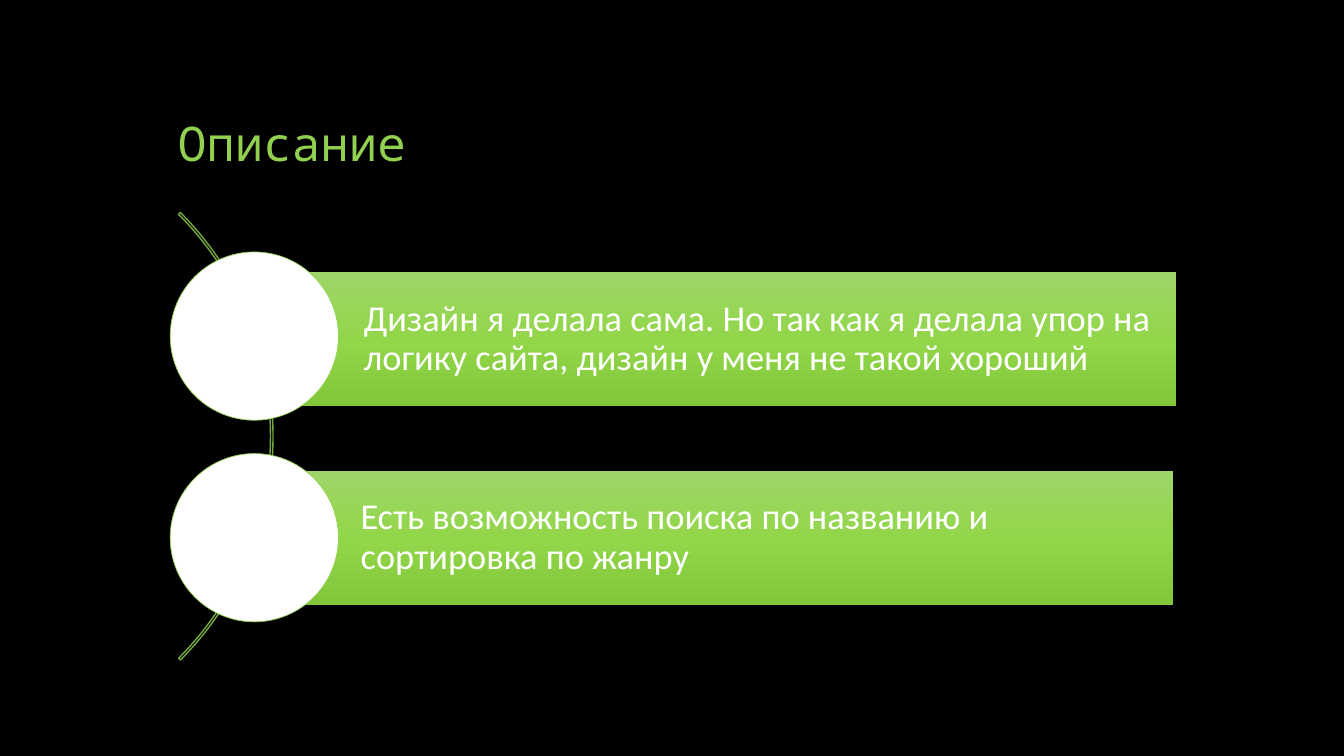
from copy import deepcopy

from pptx import Presentation
from pptx.dml.color import RGBColor
from pptx.enum.shapes import MSO_SHAPE
from pptx.enum.text import MSO_ANCHOR, MSO_AUTO_SIZE, PP_ALIGN
from pptx.util import Cm, Pt

COLORS = {
    "black": "000000", "white": "FFFFFF", "green": "92D050", "arc": "75A740",
    "top": "9ED669", "mid": "92D64A", "low": "82C63A",
}


def rgb(name):
    return RGBColor.from_string(COLORS[name])


def write(shape, text, font, size, color):
    frame = shape.text_frame
    frame.word_wrap = True
    frame.auto_size = MSO_AUTO_SIZE.NONE
    para = frame.paragraphs[0]
    para.alignment = PP_ALIGN.LEFT
    para.line_spacing = 0.9
    run = para.add_run()
    run.text = text
    run.font.name = font
    run.font.size = Pt(size)
    run.font.color.rgb = rgb(color)
    return frame


# Slide
deck = Presentation()
deck.slide_width, deck.slide_height = Cm(33.87), Cm(19.05)
slide = deck.slides.add_slide(deck.slide_layouts[5])
slide.background.fill.solid()
slide.background.fill.fore_color.rgb = rgb("black")
shapes = slide.shapes

# Title
title = shapes.title
title.left, title.top = Cm(4.23), Cm(1.27)
title.width, title.height = Cm(25.4), Cm(3.18)
frame = write(title, "Описание", "Noto Sans Mono", 34, "green")
frame.vertical_anchor = MSO_ANCHOR.BOTTOM

# Thin arc behind the list
arc = shapes.add_shape(MSO_SHAPE.BLOCK_ARC, Cm(-9.07), Cm(3.02), Cm(15.95), Cm(15.95))
for i, value in enumerate((189, 27, 0.004)):
    arc.adjustments[i] = value
arc.shadow.inherit = False
arc.fill.background()
arc.line.color.rgb = rgb("arc")
arc.line.width = Pt(1)

# List items: bar left, bar top, circle top, text
items = [
    (6.48, 6.86, 6.35,
     "Дизайн я делала сама. Но так как я делала упор на логику сайта, "
     "дизайн у меня не такой хороший"),
    (6.4, 11.86, 11.43, "Есть возможность поиска по названию и сортировка по жанру"),
]
for left, top, dot_top, text in items:
    # Bar with a three-stop gradient
    bar = shapes.add_shape(MSO_SHAPE.RECTANGLE, Cm(left), Cm(top), Cm(23.16), Cm(3.38))
    bar.shadow.inherit = False
    bar.line.fill.background()
    bar.fill.gradient()
    bar.fill.gradient_angle = 270
    first = bar.fill._fill._gradFill.gsLst[0]
    first.addnext(deepcopy(first))
    stops = zip(bar.fill.gradient_stops, (0, 0.5, 1), ("top", "mid", "low"))
    for stop, place, color in stops:
        stop.position = place
        stop.color.rgb = rgb(color)
    frame = write(bar, text, "Calibri", 26, "white")
    frame.vertical_anchor = MSO_ANCHOR.MIDDLE
    frame.margin_left = Cm(2.69)
    frame.margin_right = frame.margin_top = frame.margin_bottom = Cm(0.18)

    # Circle
    dot = shapes.add_shape(MSO_SHAPE.OVAL, Cm(4.29), Cm(dot_top), Cm(4.24), Cm(4.24))
    dot.shadow.inherit = False
    dot.fill.solid()
    dot.fill.fore_color.rgb = rgb("white")
    dot.line.color.rgb = rgb("green")
    dot.line.width = Pt(0.5)

deck.save("out.pptx")
